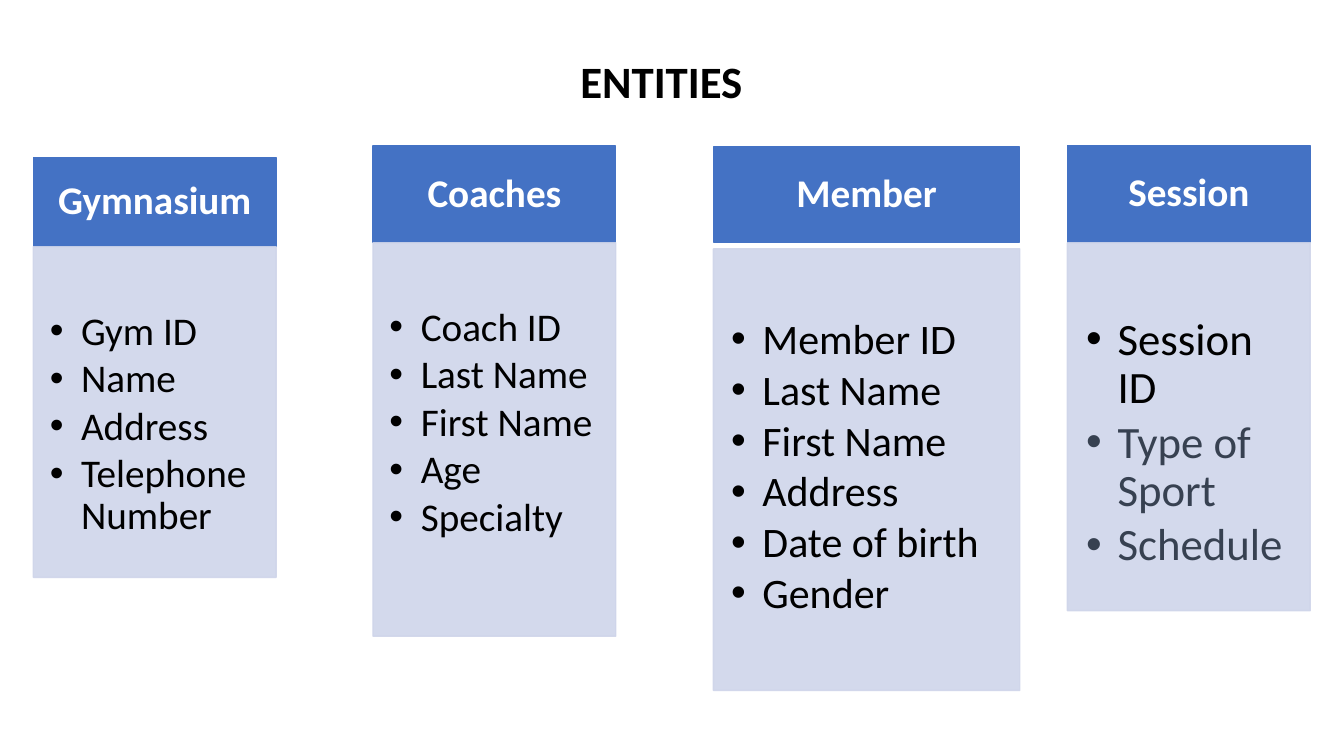
from dataclasses import dataclass

from lxml.etree import SubElement
from pptx import Presentation
from pptx.dml.color import RGBColor
from pptx.enum.shapes import MSO_SHAPE
from pptx.enum.text import MSO_ANCHOR, MSO_AUTO_SIZE, PP_ALIGN
from pptx.oxml.ns import qn
from pptx.shapes.autoshape import Shape
from pptx.slide import Slide
from pptx.text.text import _Paragraph as Paragraph
from pptx.util import Cm, Pt


@dataclass(frozen=True)
class Theme:
    font: str = "Calibri"
    header_fill: RGBColor = RGBColor(0x44, 0x72, 0xC4)
    body_fill: RGBColor = RGBColor(0xCF, 0xD5, 0xEA)
    body_opacity: int = 90
    header_text: RGBColor = RGBColor(0xFF, 0xFF, 0xFF)
    text: RGBColor = RGBColor(0x00, 0x00, 0x00)
    muted_text: RGBColor = RGBColor(0x37, 0x41, 0x51)
    title_size: int = 32
    header_size: int = 28
    line_spacing: float = 0.9


THEME = Theme()


@dataclass(frozen=True)
class Entity:
    """An entity and its attributes; lengths in centimetres, size in points."""
    name: str
    left: float
    width: float
    header_top: float
    header_height: float
    body_top: float
    body_height: float
    size: int
    attributes: tuple[str, ...]
    muted: tuple[str, ...] = ()


ENTITIES = (
    Entity("Gymnasium", 0.84, 6.12, 3.97, 2.24, 6.22, 8.33, 28,
           ("Gym ID", "Name", "Address", "Telephone Number")),
    Entity("Coaches", 9.4, 6.12, 3.68, 2.44, 6.12, 9.91, 28,
           ("Coach ID", "Last Name", "First Name", "Age", "Specialty")),
    Entity("Member", 17.98, 7.72, 3.71, 2.39, 6.27, 11.13, 30,
           ("Member ID", "Last Name", "First Name", "Address",
            "Date of birth", "Gender")),
    Entity("Session", 26.9, 6.12, 3.66, 2.44, 6.12, 9.27, 32,
           ("Session ID",), ("Type of Sport", "Schedule")),
)


def set_font(paragraph: Paragraph, size: int, color: RGBColor,
             bold: bool = False) -> None:
    font = paragraph.font
    font.name = THEME.font
    font.size = Pt(size)
    font.bold = bold
    font.color.rgb = color


def add_bullet(paragraph: Paragraph) -> None:
    properties = paragraph._p.get_or_add_pPr()
    properties.set("marL", str(Cm(0.79)))
    properties.set("indent", str(Cm(-0.79)))
    SubElement(properties, qn("a:buFont"), typeface="Arial")
    SubElement(properties, qn("a:buChar"), char="•")


def add_panel(slide: Slide, left: float, top: float, width: float,
              height: float, color: RGBColor) -> Shape:
    panel = slide.shapes.add_shape(
        MSO_SHAPE.RECTANGLE, Cm(left), Cm(top), Cm(width), Cm(height))
    panel.shadow.inherit = False
    panel.fill.solid()
    panel.fill.fore_color.rgb = color
    panel.line.color.rgb = color
    panel.line.width = Pt(1)
    panel.text_frame.word_wrap = True
    return panel


def set_opacity(panel: Shape, percent: int) -> None:
    """Make both the fill and the outline partly transparent."""
    for color in panel.element.spPr.iter(qn("a:srgbClr")):
        SubElement(color, qn("a:alpha"), val=str(percent * 1000))


def add_header(slide: Slide, entity: Entity) -> None:
    header = add_panel(slide, entity.left, entity.header_top, entity.width,
                       entity.header_height, THEME.header_fill)
    frame = header.text_frame
    frame.vertical_anchor = MSO_ANCHOR.MIDDLE
    frame.margin_left = frame.margin_right = Cm(0.55)
    frame.margin_top = frame.margin_bottom = Cm(0.3)
    name = frame.paragraphs[0]
    name.text = entity.name
    name.alignment = PP_ALIGN.CENTER
    name.line_spacing = THEME.line_spacing
    set_font(name, THEME.header_size, THEME.header_text, bold=True)


def add_attributes(slide: Slide, entity: Entity) -> None:
    body = add_panel(slide, entity.left, entity.body_top, entity.width,
                     entity.body_height, THEME.body_fill)
    set_opacity(body, THEME.body_opacity)
    frame = body.text_frame
    frame.vertical_anchor = MSO_ANCHOR.TOP
    # Margins grow with the type; the top one also leaves a line free.
    frame.margin_left = Pt(entity.size * 0.42)
    frame.margin_top = Pt(entity.size * 1.65)
    frame.margin_right = Pt(entity.size * 0.56)
    frame.margin_bottom = Pt(entity.size * 0.63)
    for index, attribute in enumerate(entity.attributes + entity.muted):
        item = frame.add_paragraph() if index else frame.paragraphs[0]
        item.text = attribute
        item.level = 1
        item.alignment = PP_ALIGN.LEFT
        item.line_spacing = THEME.line_spacing
        item.space_before = Pt(0)
        item.space_after = Pt(entity.size * 0.13)
        add_bullet(item)
        is_muted = attribute in entity.muted
        set_font(item, entity.size,
                 THEME.muted_text if is_muted else THEME.text)


def format_title(slide: Slide, wording: str) -> None:
    title = slide.shapes.title
    title.left, title.top = Cm(8.15), Cm(1.22)
    title.width, title.height = Cm(17.04), Cm(1.63)
    frame = title.text_frame
    frame.word_wrap = True
    frame.auto_size = MSO_AUTO_SIZE.SHAPE_TO_FIT_TEXT
    frame.vertical_anchor = MSO_ANCHOR.TOP
    heading = frame.paragraphs[0]
    heading.text = wording
    heading.alignment = PP_ALIGN.CENTER
    set_font(heading, THEME.title_size, THEME.text, bold=True)


def main() -> None:
    presentation = Presentation()
    presentation.slide_width = Cm(33.87)
    presentation.slide_height = Cm(19.05)
    title_only = presentation.slide_layouts[5]
    slide = presentation.slides.add_slide(title_only)
    format_title(slide, "ENTITIES")
    for entity in ENTITIES:
        add_header(slide, entity)
        add_attributes(slide, entity)
    presentation.save("out.pptx")


if __name__ == "__main__":
    main()
